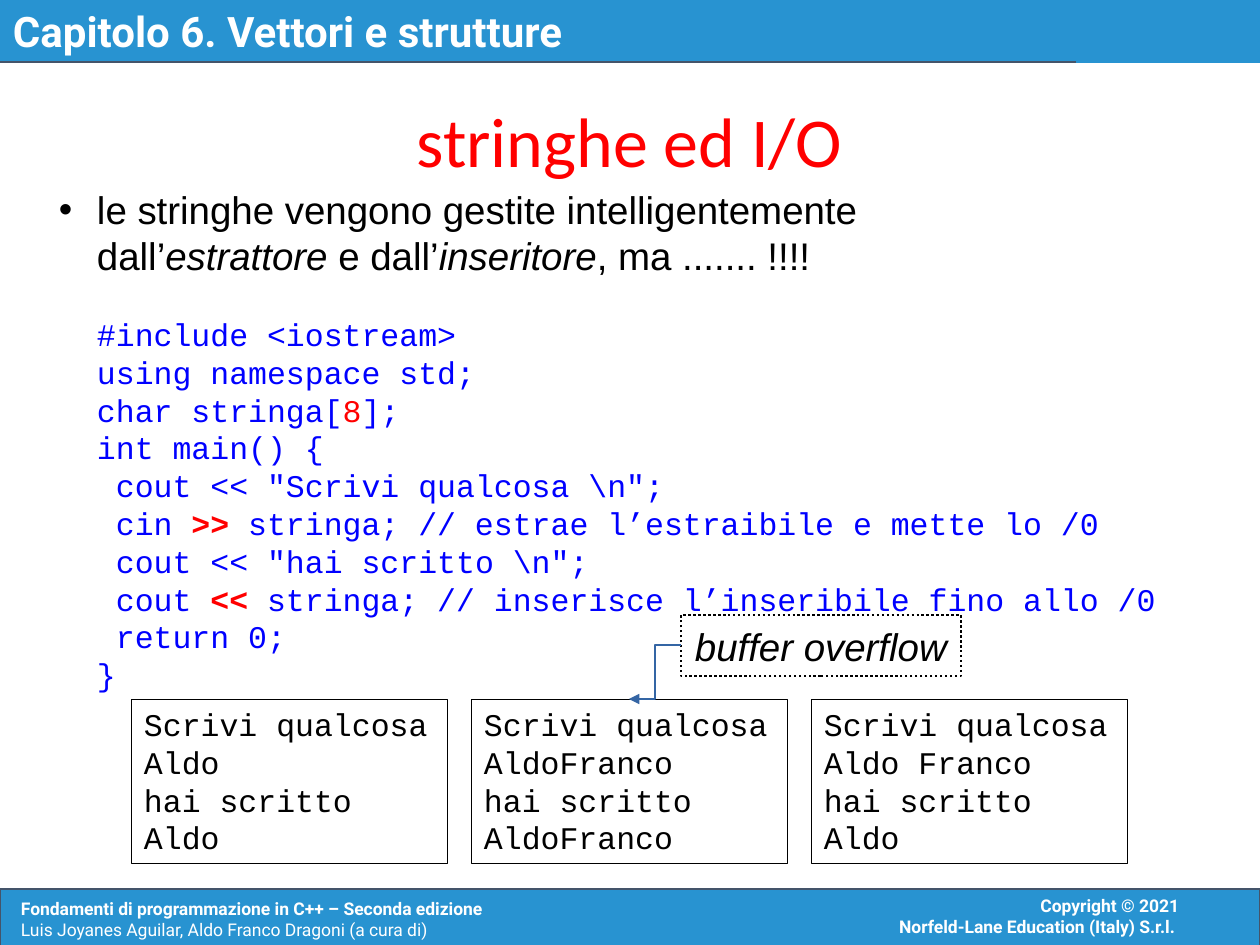
from lxml.etree import SubElement
from pptx import Presentation
from pptx.dml.color import RGBColor
from pptx.enum.dml import MSO_LINE
from pptx.enum.shapes import MSO_CONNECTOR, MSO_SHAPE
from pptx.enum.text import MSO_ANCHOR, PP_ALIGN
from pptx.oxml.ns import qn
from pptx.util import Pt

EMU_PER_PX = 914400 / 126


def px(length):
    """Turn whole pixels into EMU."""
    return round(length * EMU_PER_PX)


def color(value):
    """Turn a hex string into a colour."""
    return RGBColor.from_string(value)


class SlideBuilder:
    """Hold the shared style and the current slide."""

    bar_fill = "2893D1"
    bar_line = "44546A"
    black = "000000"
    red = "FF0000"
    blue = "0000FF"
    arrow = "3465A4"
    fonts = {
        "chapter": {"name": "Roboto", "size": Pt(24), "bold": True, "color": "FFFFFF"},
        "footer": {"name": "Roboto", "size": Pt(10), "bold": True, "color": "FFFFFF"},
        "title": {"name": "Calibri", "size": Pt(40), "color": red},
        "body": {"name": "Arial", "size": Pt(22), "color": black},
        "code": {"name": "Courier New", "size": Pt(18), "color": blue},
        "output": {"name": "Courier New", "size": Pt(18), "color": black},
        "callout": {"name": "Arial", "size": Pt(22), "italic": True, "color": black},
    }

    def __init__(self, slide):
        """Keep the slide to draw on."""
        self.slide = slide

    def prepare(self, frame, insets=(13, 6), anchor=MSO_ANCHOR.TOP):
        """Set wrapping, insets and anchor of a text frame."""
        side, edge = insets
        settings = {
            "word_wrap": True, "vertical_anchor": anchor,
            "margin_left": px(side), "margin_right": px(side),
            "margin_top": px(edge), "margin_bottom": px(edge),
        }
        for key, value in settings.items():
            setattr(frame, key, value)

    def runs(self, paragraph, style, pieces):
        """Write text pieces, each with its changes to the named style."""
        for text, changes in pieces:
            values = {**self.fonts[style], **changes}
            hue = color(values.pop("color"))
            for number, line in enumerate(text.split("\n")):
                if number:
                    paragraph.add_line_break()
                if not line:
                    continue
                run = paragraph.add_run()
                run.text = line
                run.font.color.rgb = hue
                for key, value in values.items():
                    setattr(run.font, key, value)

    def paragraphs(self, frame, style, lines, align=PP_ALIGN.LEFT):
        """Write one paragraph for each line."""
        for number, line in enumerate(lines):
            paragraph = frame.add_paragraph() if number else frame.paragraphs[0]
            paragraph.alignment = align
            self.runs(paragraph, style, [(line, {})])

    def text(self, box, insets=(13, 6), anchor=MSO_ANCHOR.TOP):
        """Add a text box and return its frame."""
        frame = self.slide.shapes.add_textbox(*map(px, box)).text_frame
        self.prepare(frame, insets, anchor)
        return frame

    def rectangle(self, box, fill=None, line=black, width=0.28, dash=None, insets=(13, 6)):
        """Add a rectangle and return its text frame."""
        shape = self.slide.shapes.add_shape(MSO_SHAPE.RECTANGLE, *map(px, box))
        shape.shadow.inherit = False
        if fill:
            shape.fill.solid()
            shape.fill.fore_color.rgb = color(fill)
        else:
            shape.fill.background()
        if line:
            self.stroke(shape.line, line, width)
            shape.line.dash_style = dash
        else:
            shape.line.fill.background()
        self.prepare(shape.text_frame, insets)
        return shape.text_frame

    def stroke(self, line, hue, width):
        """Colour a line and set its width."""
        line.color.rgb = color(hue)
        line.width = Pt(width)

    def connector(self, kind, start, end, hue, arrow=False):
        """Add a connector, with an arrowhead at its end if asked."""
        link = self.slide.shapes.add_connector(kind, *map(px, start + end))
        self.stroke(link.line, hue, 0.75)
        if arrow:
            SubElement(link.line._get_or_add_ln(), qn("a:tailEnd"), type="triangle")
        SubElement(link._element.spPr, qn("a:effectLst"))

    def indent(self, paragraph, left, first=0, bullet=None):
        """Indent a paragraph and give it a bullet if asked."""
        properties = paragraph._p.get_or_add_pPr()
        properties.set("marL", str(px(left)))
        properties.set("indent", str(px(first)))
        if bullet:
            SubElement(properties, qn("a:buFont"), typeface="Arial")
            SubElement(properties, qn("a:buChar"), char=bullet)
        else:
            SubElement(properties, qn("a:buNone"))


def main():
    """Build the slide and save it."""
    deck = Presentation()
    deck.slide_width, deck.slide_height = px(1260), px(945)
    page = SlideBuilder(deck.slides.add_slide(deck.slide_layouts[6]))

    page.rectangle((0, 889, 1260, 59), page.bar_fill, page.bar_line, 0.75)
    book = page.text((8, 892, 602, 54)).paragraphs[0]
    page.runs(book, "footer", [
        ("Fondamenti di programmazione in C++ – Seconda edizione\n", {}),
        ("Luis Joyanes Aguilar, Aldo Franco Dragoni (a cura di)", {"bold": False}),
    ])
    rights = page.text((848, 889, 344, 76))
    page.paragraphs(rights, "footer", [
        "Copyright © 2021", "Norfeld-Lane Education (Italy) S.r.l. ",
    ], PP_ALIGN.RIGHT)

    chapter = page.rectangle((0, 0, 1260, 63), page.bar_fill, None)
    page.paragraphs(chapter, "chapter", ["Capitolo 6. Vettori e strutture"])
    page.connector(MSO_CONNECTOR.STRAIGHT, (0, 62), (1076, 62), page.bar_line)

    body = page.text((55, 186, 1124, 544), (0, 0))
    intro, code = body.paragraphs[0], body.add_paragraph()
    page.indent(intro, 42, -38, "•")
    page.runs(intro, "body", [
        ("le stringhe vengono gestite intelligentemente\ndall’", {}),
        ("estrattore ", {"italic": True}),
        ("e dall’", {}),
        ("inseritore", {"italic": True}),
        (", ma ....... !!!!", {}),
    ])
    code.space_before = Pt(21)
    page.indent(code, 42)
    operator = {"color": page.red, "bold": True}
    page.runs(code, "code", [
        ("#include <iostream>\nusing namespace std;\nchar stringa[", {}),
        ("8", {"color": page.red}),
        ("];\nint main() {\n cout << \"Scrivi qualcosa \\n\";\n cin ", {}),
        (">>", operator),
        (" stringa; // estrae l’estraibile e mette lo /0\n"
         " cout << \"hai scritto \\n\";\n cout ", {}),
        ("<<", operator),
        (" stringa; // inserisce l’inseribile fino allo /0\n return 0;\n}", {}),
    ])

    examples = [("Aldo", "Aldo"), ("AldoFranco", "AldoFranco"), ("Aldo Franco", "Aldo")]
    for column, (typed, printed) in enumerate(examples):
        output = page.rectangle((131 + 340 * column, 699, 316, 164))
        page.paragraphs(output, "output", ["Scrivi qualcosa", typed, "hai scritto", printed])

    overflow = page.rectangle((681, 615, 280, 61), width=1.42,
                              dash=MSO_LINE.ROUND_DOT, insets=(14, 8))
    page.paragraphs(overflow, "callout", ["buffer overflow"])
    page.connector(MSO_CONNECTOR.ELBOW, (681, 645), (629, 699), page.arrow, arrow=True)

    title = page.text((193, 115, 873, 59), (0, 0), MSO_ANCHOR.MIDDLE)
    page.paragraphs(title, "title", ["stringhe ed I/O"], PP_ALIGN.CENTER)
    title.paragraphs[0].line_spacing = 0.93

    deck.save("out.pptx")


if __name__ == "__main__":
    main()
